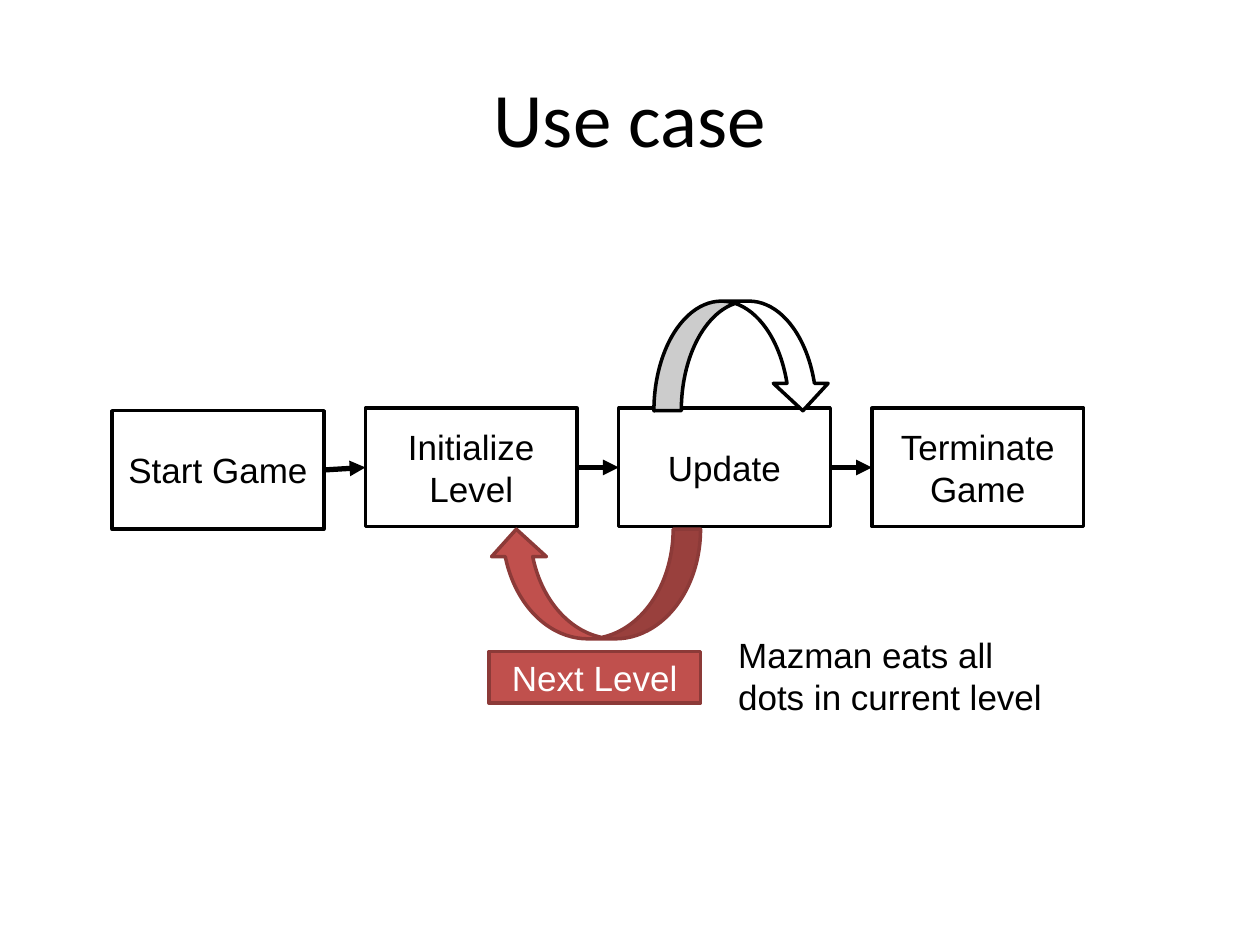
from dataclasses import dataclass

from lxml.etree import SubElement
from pptx import Presentation
from pptx.dml.color import RGBColor
from pptx.enum.shapes import MSO_CONNECTOR as CONN, MSO_SHAPE as SHAPE
from pptx.enum.text import MSO_ANCHOR as ANCHOR, PP_ALIGN as ALIGN
from pptx.oxml.ns import qn
from pptx.util import Inches, Pt


@dataclass(frozen=True)
class Theme:
    black: RGBColor = RGBColor(0, 0, 0)
    white: RGBColor = RGBColor(255, 255, 255)
    red: RGBColor = RGBColor(0xC0, 0x50, 0x4D)
    dark_red: RGBColor = RGBColor(0x8C, 0x3A, 0x38)
    title_font: str = "Calibri"
    body_font: str = "Arial"
    title_size: Pt = Pt(44)
    body_size: Pt = Pt(20)
    outline: Pt = Pt(2)
    flow: Pt = Pt(3)


T = Theme()
PLAIN = (T.white, T.black, T.black)
ACCENT = (T.red, T.dark_red, T.white)
BOX_W, BOX_H, STEP = 1.68, 0.94, 2.01


def set_text(shape, text, color, align, anchor, font=T.body_font, size=T.body_size):
    tf = shape.text_frame
    tf.word_wrap = True
    tf.vertical_anchor = anchor
    p = tf.paragraphs[0]
    p.text = text
    p.alignment = align
    p.font.name = font
    p.font.size = size
    p.font.color.rgb = color


def add_label(s, box, text, align=ALIGN.LEFT, anchor=ANCHOR.TOP, **font):
    tb = s.shapes.add_textbox(*map(Inches, box))
    set_text(tb, text, T.black, align, anchor, **font)


def add_shape(s, kind, box, style, text=None):
    fill, line, color = style
    sp = s.shapes.add_shape(kind, *map(Inches, box))
    sp.shadow.inherit = False
    sp.fill.solid()
    sp.fill.fore_color.rgb = fill
    sp.line.color.rgb = line
    sp.line.width = T.outline
    if text:
        set_text(sp, text, color, ALIGN.CENTER, ANCHOR.MIDDLE)
    return sp


def add_flow(s, start, end):
    c = s.shapes.add_connector(CONN.STRAIGHT, 0, 0, 0, 0)
    c.begin_connect(start, 3)
    c.end_connect(end, 1)
    c.line.color.rgb = T.black
    c.line.width = T.flow
    SubElement(c.line._get_or_add_ln(), qn("a:tailEnd"), type="triangle")
    SubElement(c._element.spPr, qn("a:effectLst"))


def main():
    prs = Presentation()
    prs.slide_width, prs.slide_height = Inches(10), Inches(7.5)
    s = prs.slides.add_slide(prs.slide_layouts[6])

    add_label(s, (0.5, 0.3, 9, 1.25), "Use case", ALIGN.CENTER, ANCHOR.MIDDLE,
              font=T.title_font, size=T.title_size)

    steps = [("Start Game", 3.26), ("Initialize Level", 3.24),
             ("Update", 3.24), ("Terminate Game", 3.24)]
    boxes = [add_shape(s, SHAPE.RECTANGLE, (0.89 + i * STEP, top, BOX_W, BOX_H), PLAIN, text)
             for i, (text, top) in enumerate(steps)]
    for start, end in zip(boxes, boxes[1:]):
        add_flow(s, start, end)

    add_shape(s, SHAPE.CURVED_DOWN_ARROW, (5.19, 2.39, 1.4, 0.87), PLAIN)
    add_shape(s, SHAPE.RECTANGLE, (3.88, 5.17, BOX_W, 0.41), ACCENT, "Next Level")
    back = add_shape(s, SHAPE.CURVED_DOWN_ARROW, (3.88, 4.2, BOX_W, 0.87), ACCENT)
    back.rotation = 180
    add_label(s, (5.76, 4.98, 2.7, 0.77), "Mazman eats all dots in current level")

    prs.save("out.pptx")


if __name__ == "__main__":
    main()
